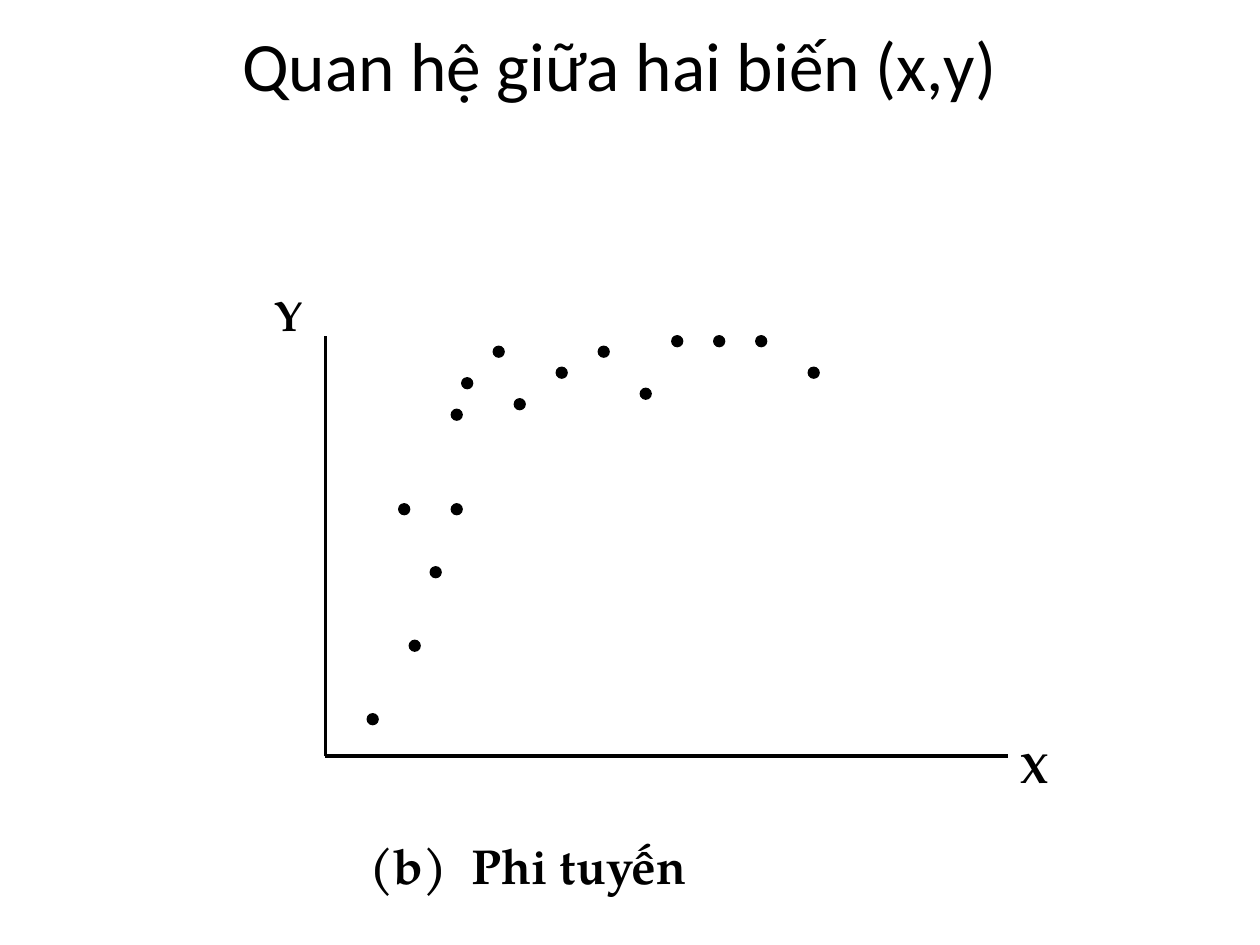
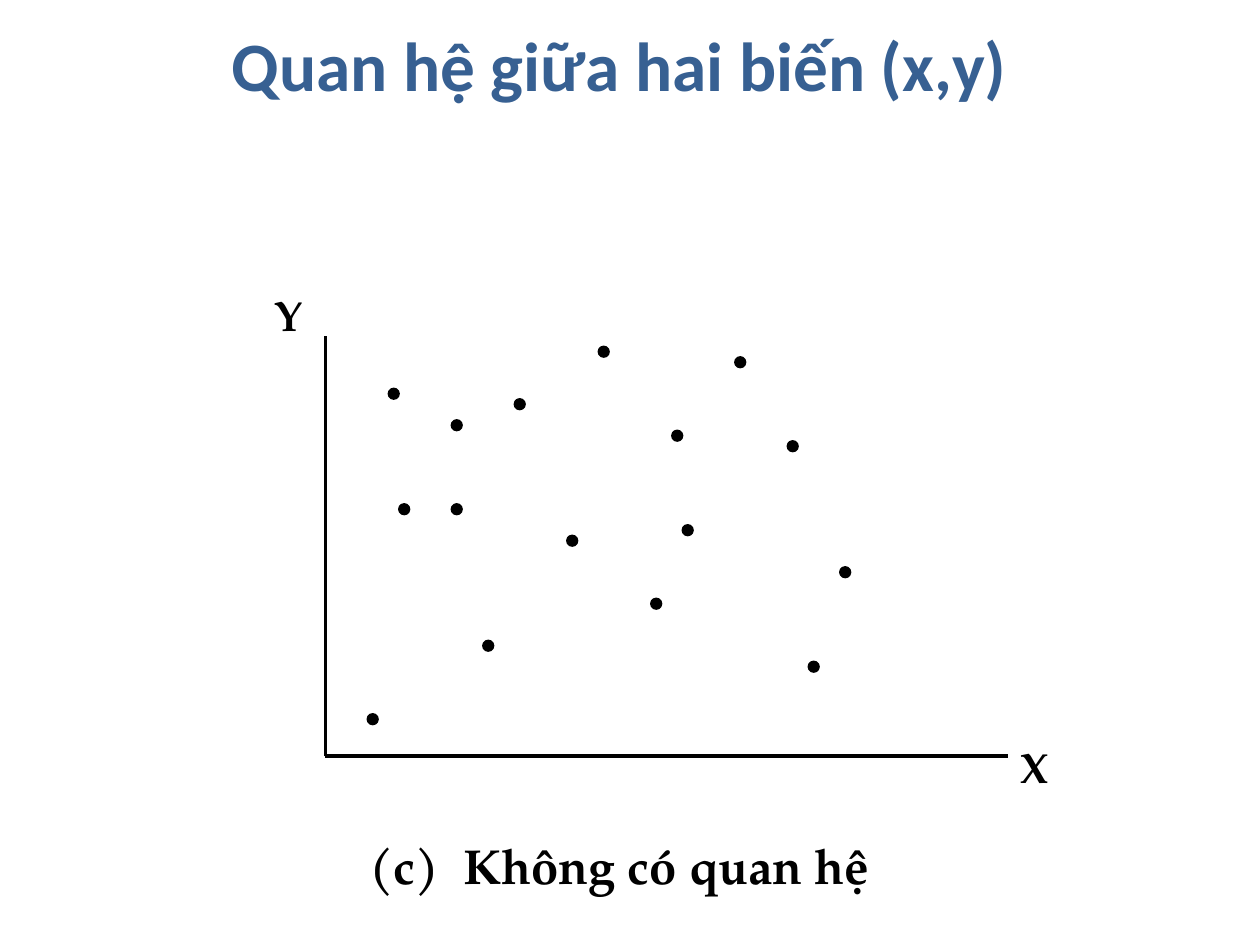
from lxml import etree
from pptx import Presentation
from pptx import util as u
from pptx.dml.color import RGBColor
from pptx.enum import shapes, text
from pptx.oxml import ns

BLACK = RGBColor(0x00, 0x00, 0x00)
BLUE = RGBColor(0x37, 0x60, 0x92)
TITLE_FONT = "Calibri"
LABEL_FONT = "TeX Gyre Pagella"
TITLE = "Quan hệ giữa hai biến (x,y)"
TITLE_ONLY_LAYOUT = 5

GRID_CM = 2.54 / 12
ORIGIN, Y_AXIS_END, X_AXIS_END = (31, 72), (31, 32), (96, 72)

SHARED_POINTS = [(35, 68), (38, 48), (43, 48), (49, 38), (57, 33)]
NONLINEAR_POINTS = [
    (39, 61), (41, 54), (43, 39), (44, 36), (47, 33), (53, 35),
    (61, 37), (64, 32), (68, 32), (72, 32), (77, 35),
]
UNRELATED_POINTS = [
    (37, 37), (43, 40), (46, 61), (54, 51), (62, 57), (64, 41),
    (65, 50), (70, 34), (75, 42), (77, 63), (80, 54),
]


def grid(*steps):
    """Turn counts of grid steps into lengths."""
    return [u.Cm(step * GRID_CM) for step in steps]


def write_text(frame, content, *, font=LABEL_FONT, size=24, bold=True, color=BLACK,
               align=text.PP_ALIGN.LEFT, line_spacing=1.0):
    """Fill a text frame with one formatted paragraph."""
    frame.word_wrap = True
    frame.vertical_anchor = text.MSO_ANCHOR.TOP
    paragraph = frame.paragraphs[0]
    paragraph.alignment = align
    paragraph.line_spacing = line_spacing
    run = paragraph.add_run()
    run.text = content
    run.font.name = font
    run.font.size = u.Pt(size)
    run.font.bold = bold
    run.font.color.rgb = color


def set_title(slide, *, color, bold):
    """Place and write the slide title."""
    title = slide.shapes.title
    title.left, title.top, title.width, title.height = grid(8, 3, 102, 15)
    title.text_frame.auto_size = text.MSO_AUTO_SIZE.NONE
    write_text(title.text_frame, TITLE, font=TITLE_FONT, size=39.6, bold=bold,
               color=color, align=text.PP_ALIGN.CENTER, line_spacing=0.8)


def add_label(slide, content, box, **text_format):
    """Add a text box that grows with its label."""
    frame = slide.shapes.add_textbox(*grid(*box)).text_frame
    frame.auto_size = text.MSO_AUTO_SIZE.SHAPE_TO_FIT_TEXT
    write_text(frame, content, **text_format)


def add_axis(slide, start, end):
    """Draw one axis of the plot."""
    axis = slide.shapes.add_connector(
        shapes.MSO_CONNECTOR.STRAIGHT, *grid(*start, *end))
    axis.line.color.rgb = BLACK
    axis.line.width = u.Pt(2.25)
    properties = axis._element.find(ns.qn("p:spPr"))
    etree.SubElement(properties, ns.qn("a:effectLst"))


def add_point(slide, column, row):
    """Draw one observation as a dot in a grid cell."""
    dot = slide.shapes.add_shape(shapes.MSO_SHAPE.OVAL, *grid(column, row, 1, 1))
    dot.shadow.inherit = False
    dot.fill.solid()
    dot.fill.fore_color.rgb = BLACK
    dot.line.color.rgb = BLACK
    dot.line.width = u.Pt(1)


def add_scatter_slide(presentation, caption, points, *, title_color, title_bold):
    """Add a slide with a captioned scatter sketch."""
    slide = presentation.slides.add_slide(
        presentation.slide_layouts[TITLE_ONLY_LAYOUT])
    set_title(slide, color=title_color, bold=title_bold)
    for end in (Y_AXIS_END, X_AXIS_END):
        add_axis(slide, ORIGIN, end)
    add_label(slide, "X", (96, 70, 7, 6))
    add_label(slide, "Y", (25, 27, 7, 6))
    for column, row in SHARED_POINTS + points:
        add_point(slide, column, row)
    add_label(slide, caption, (34, 79, 53, 6.84), size=28)


def main():
    """Build and save the presentation."""
    presentation = Presentation()
    presentation.slide_width = u.Cm(25.4)
    presentation.slide_height = u.Cm(19.05)
    add_scatter_slide(presentation, "(b)  Phi tuyến", NONLINEAR_POINTS,
                      title_color=BLACK, title_bold=False)
    add_scatter_slide(presentation, "(c)  Không có quan hệ", UNRELATED_POINTS,
                      title_color=BLUE, title_bold=True)
    presentation.save("out.pptx")


if __name__ == "__main__":
    main()
